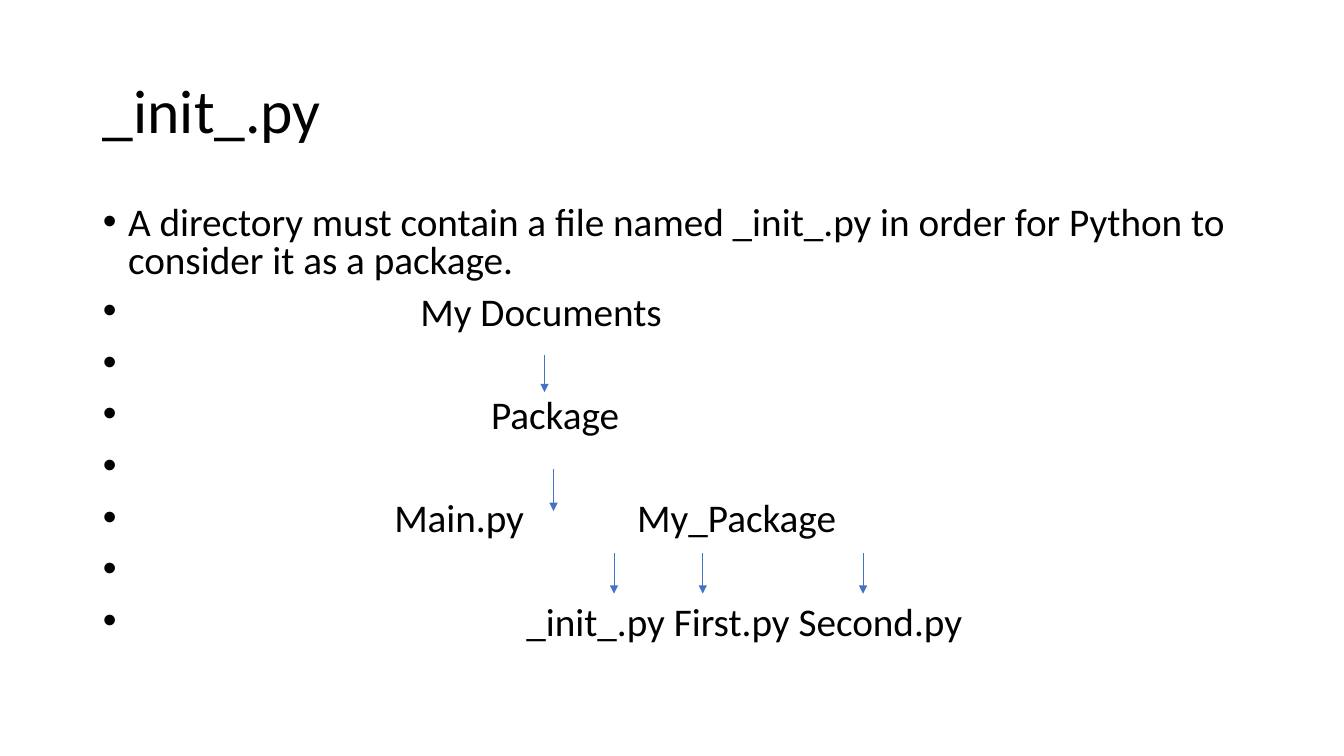
from dataclasses import dataclass

from lxml import etree
from pptx import Presentation
from pptx.dml.color import RGBColor
from pptx.enum.shapes import MSO_CONNECTOR
from pptx.enum.text import MSO_ANCHOR, MSO_AUTO_SIZE, PP_ALIGN
from pptx.oxml.ns import qn
from pptx.util import Inches, Pt

STRAIGHT = MSO_CONNECTOR.STRAIGHT
LEFT = PP_ALIGN.LEFT
TOP, MIDDLE = MSO_ANCHOR.TOP, MSO_ANCHOR.MIDDLE
NO_FIT = MSO_AUTO_SIZE.NONE


@dataclass(frozen=True)
class Theme:
    font: str = "Calibri"
    text: RGBColor = RGBColor(0x00, 0x00, 0x00)
    arrow: RGBColor = RGBColor(0x44, 0x72, 0xC4)
    title_size: float = 44
    body_size: float = 28
    arrow_width: float = 0.5


def set_all(target, values):
    for name, value in values.items():
        setattr(target, name, value)


class SlideBuilder:
    def __init__(self, slide, theme):
        self.s = slide
        self.theme = theme

    def frame(self, sp, box, anchor):
        """Move a placeholder and return its text frame."""
        lengths = map(Inches, box)
        set_all(sp, dict(zip(("left", "top", "width", "height"), lengths)))
        set_all(sp.text_frame, {"word_wrap": True, "auto_size": NO_FIT,
                                "vertical_anchor": anchor})
        return sp.text_frame

    def fill_paragraph(self, p, text, size, spacing, before=0):
        set_all(p, {"alignment": LEFT, "line_spacing": spacing,
                    "space_before": Pt(before)})
        r = p.add_run()
        r.text = text
        set_all(r.font, {"name": self.theme.font, "size": Pt(size)})
        r.font.color.rgb = self.theme.text

    def title(self, text, box):
        tf = self.frame(self.s.shapes.title, box, MIDDLE)
        self.fill_paragraph(tf.paragraphs[0], text, self.theme.title_size, 0.9)

    def bullets(self, items, box):
        """Each item is its text, its text indent and an optional tab stop."""
        tf = self.frame(self.s.placeholders[1], box, TOP)
        for i, (text, indent, tab) in enumerate(items):
            p = tf.paragraphs[0] if i == 0 else tf.add_paragraph()
            self.fill_paragraph(p, text, self.theme.body_size, 0.8, before=10)
            pPr = p._p.get_or_add_pPr()
            pPr.set("marL", str(Inches(indent)))
            pPr.set("indent", str(-Inches(indent)))
            etree.SubElement(pPr, qn("a:buFont"), typeface="Arial")
            etree.SubElement(pPr, qn("a:buChar"), char="•")
            if tab:
                tabs = etree.SubElement(pPr, qn("a:tabLst"))
                etree.SubElement(tabs, qn("a:tab"), pos=str(Inches(tab)), algn="l")

    def down_arrow(self, x, top, bottom):
        sp = self.s.shapes.add_connector(
            STRAIGHT, Inches(x), Inches(top), Inches(x), Inches(bottom))
        sp.line.color.rgb = self.theme.arrow
        sp.line.width = Pt(self.theme.arrow_width)
        etree.SubElement(sp.line._get_or_add_ln(), qn("a:tailEnd"), type="triangle")
        etree.SubElement(sp._element.spPr, qn("a:effectLst"))


def main():
    prs = Presentation()
    prs.slide_width, prs.slide_height = Inches(13.33), Inches(7.5)
    slide = SlideBuilder(prs.slides.add_slide(prs.slide_layouts[1]), Theme())

    # Title
    slide.title("_init_.py", (0.92, 0.4, 11.5, 1.45))

    # Explanation and directory levels; arrow rows show only their bullet
    arrow_row = (" ", 0.25, None)
    slide.bullets([
        ("A directory must contain a file named _init_.py in order for Python "
         "to consider it as a package.", 0.25, None),
        ("My Documents", 3.15, None),
        arrow_row,
        ("Package", 3.85, None),
        arrow_row,
        ("Main.py\tMy_Package", 2.89, 5.3),
        arrow_row,
        ("_init_.py First.py Second.py", 4.2, None),
    ], (0.92, 2, 11.5, 4.76))

    # Arrows between the levels
    slide.down_arrow(5.4, 3.52, 3.89)
    slide.down_arrow(5.49, 4.65, 5.07)
    for x in (6.09, 6.97, 8.56):
        slide.down_arrow(x, 5.49, 5.89)

    prs.save("out.pptx")


if __name__ == "__main__":
    main()
